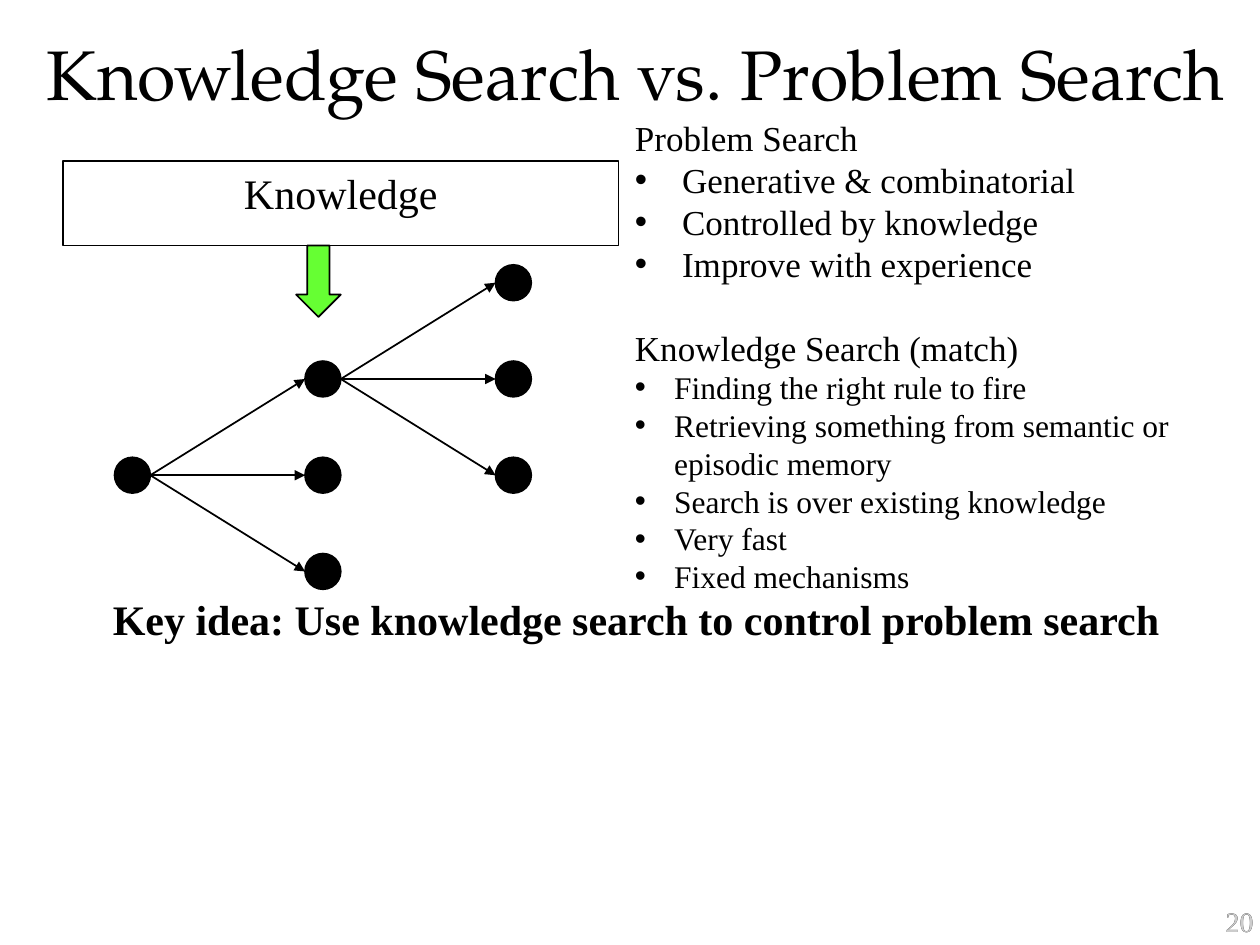
from dataclasses import dataclass

import pptx
import pptx.dml.color
import pptx.enum.shapes
import pptx.enum.text
import pptx.oxml.ns
import pptx.util
from lxml import etree

Cm = pptx.util.Cm
Pt = pptx.util.Pt
Align = pptx.enum.text.PP_ALIGN
Anchor = pptx.enum.text.MSO_ANCHOR
Preset = pptx.enum.shapes.MSO_SHAPE
qn = pptx.oxml.ns.qn

BLACK, WHITE, GREEN, GRAY = "000000", "FFFFFF", "66FF33", "CCCCCC"
SERIF, TITLE_FONT = "Times New Roman", "TeX Gyre Pagella"
NODE_SIZE = 0.72
ROOT_X, ROOT_Y = 2.67, 9.58
COLUMN_STEP, ROW_STEP = 3.84, 1.94


@dataclass(frozen=True)
class Node:
    x: float
    y: float

    def children(self) -> list["Node"]:
        return [Node(self.x + COLUMN_STEP, self.y + row * ROW_STEP) for row in (-1, 0, 1)]


@dataclass(frozen=True)
class Topic:
    heading: str
    points: tuple[str, ...]
    size: float
    indent: float
    gap: float


TOPICS = (
    Topic("Problem Search",
          ("Generative & combinatorial", "Controlled by knowledge", "Improve with experience"),
          size=20, indent=0.95, gap=0),
    Topic("Knowledge Search (match)",
          ("Finding the right rule to fire",
           "Retrieving something from semantic or episodic memory",
           "Search is over existing knowledge", "Very fast", "Fixed mechanisms"),
          size=18, indent=0.79, gap=24),
)


def color(value: str) -> pptx.dml.color.RGBColor:
    return pptx.dml.color.RGBColor.from_string(value)


def place(box, left: float, top: float, width: float, height: float) -> None:
    box.left, box.top, box.width, box.height = Cm(left), Cm(top), Cm(width), Cm(height)


def prepare_frame(box, inset: float = 0.13, anchor=Anchor.TOP):
    frame = box.text_frame
    frame.word_wrap = True
    frame.auto_size = pptx.enum.text.MSO_AUTO_SIZE.NONE
    frame.vertical_anchor = anchor
    frame.margin_left = frame.margin_right = Cm(inset)
    frame.margin_top = frame.margin_bottom = Cm(inset)
    return frame


def write(para, text: str, *, size: float = 20, font: str = SERIF, fill: str = BLACK,
          bold: bool = False, align=Align.LEFT, before: float = 0) -> None:
    para.alignment = align
    para.space_before = Pt(before)
    para.line_spacing = Pt(size * 1.2)
    span = para.add_run()
    span.text = text
    span.font.name, span.font.size, span.font.bold = font, Pt(size), bold
    span.font.color.rgb = color(fill)


def set_bullet(para, indent: float = 0) -> None:
    """Hang a bullet by the indent, or drop the bullet when it is zero."""
    properties = para._p.get_or_add_pPr()
    properties.set("marL", str(Cm(indent)))
    properties.set("indent", str(-Cm(indent)))
    if indent:
        etree.SubElement(properties, qn("a:buChar"), char="•")
    else:
        etree.SubElement(properties, qn("a:buNone"))


def add_text(page, left: float, top: float, width: float, height: float,
             text: str, **style) -> None:
    box = page.shapes.add_textbox(Cm(left), Cm(top), Cm(width), Cm(height))
    write(prepare_frame(box).paragraphs[0], text, **style)


def add_outlined(page, preset, left: float, top: float, width: float, height: float, fill: str):
    shape = page.shapes.add_shape(preset, Cm(left), Cm(top), Cm(width), Cm(height))
    shape.shadow.inherit = False
    shape.fill.solid()
    shape.fill.fore_color.rgb = color(fill)
    shape.line.color.rgb = color(BLACK)
    shape.line.width = Pt(1)
    return shape


def add_node(page, node: Node) -> None:
    half = NODE_SIZE / 2
    add_outlined(page, Preset.OVAL, node.x - half, node.y - half, NODE_SIZE, NODE_SIZE, BLACK)


def add_arrow(page, parent: Node, child: Node) -> None:
    half = NODE_SIZE / 2
    arrow = page.shapes.add_connector(
        pptx.enum.shapes.MSO_CONNECTOR.STRAIGHT,
        Cm(parent.x + half), Cm(parent.y), Cm(child.x - half), Cm(child.y))
    arrow.line.color.rgb = color(BLACK)
    arrow.line.width = Pt(1)
    etree.SubElement(arrow.line._get_or_add_ln(), qn("a:tailEnd"), type="triangle")
    etree.SubElement(arrow._element.spPr, qn("a:effectLst"))


def add_branches(page, parent: Node) -> list[Node]:
    children = parent.children()
    for child in children:
        add_node(page, child)
        add_arrow(page, parent, child)
    return children


def fill_topics(body) -> None:
    frame = prepare_frame(body)
    para = frame.paragraphs[0]
    for topic in TOPICS:
        if topic is not TOPICS[0]:
            para = frame.add_paragraph()
        write(para, topic.heading, before=topic.gap)
        set_bullet(para)
        for point in topic.points:
            para = frame.add_paragraph()
            write(para, point, size=topic.size)
            set_bullet(para, topic.indent)


def main() -> None:
    deck = pptx.Presentation()
    deck.slide_width, deck.slide_height = Cm(25.4), Cm(19.05)
    page = deck.slides.add_slide(deck.slide_layouts[1])

    title, body = page.placeholders
    place(title, 0.84, 0.3, 23.95, 2.31)
    write(prepare_frame(title, inset=0, anchor=Anchor.MIDDLE).paragraphs[0],
          "Knowledge Search vs. Problem Search", size=40, font=TITLE_FONT, align=Align.CENTER)
    place(body, 12.67, 2.21, 12.93, 10.08)
    fill_topics(body)

    root = Node(ROOT_X, ROOT_Y)
    add_node(page, root)
    upper_child = add_branches(page, root)[0]
    add_branches(page, upper_child)

    knowledge = add_outlined(page, Preset.RECTANGLE, 1.27, 3.25, 11.2, 1.7, WHITE)
    write(prepare_frame(knowledge).paragraphs[0], "Knowledge", size=24, align=Align.CENTER)
    add_outlined(page, Preset.DOWN_ARROW, 5.97, 4.95, 0.9, 1.44, GREEN)

    add_text(page, 0.66, 11.84, 24.33, 1.28,
             "Key idea: Use knowledge search to control problem search",
             size=24, bold=True, align=Align.CENTER)
    for shade in (BLACK, GRAY):
        add_text(page, 23.29, 18.11, 2.11, 0.94, "20", size=16, fill=shade, align=Align.RIGHT)

    deck.save("out.pptx")


if __name__ == "__main__":
    main()
